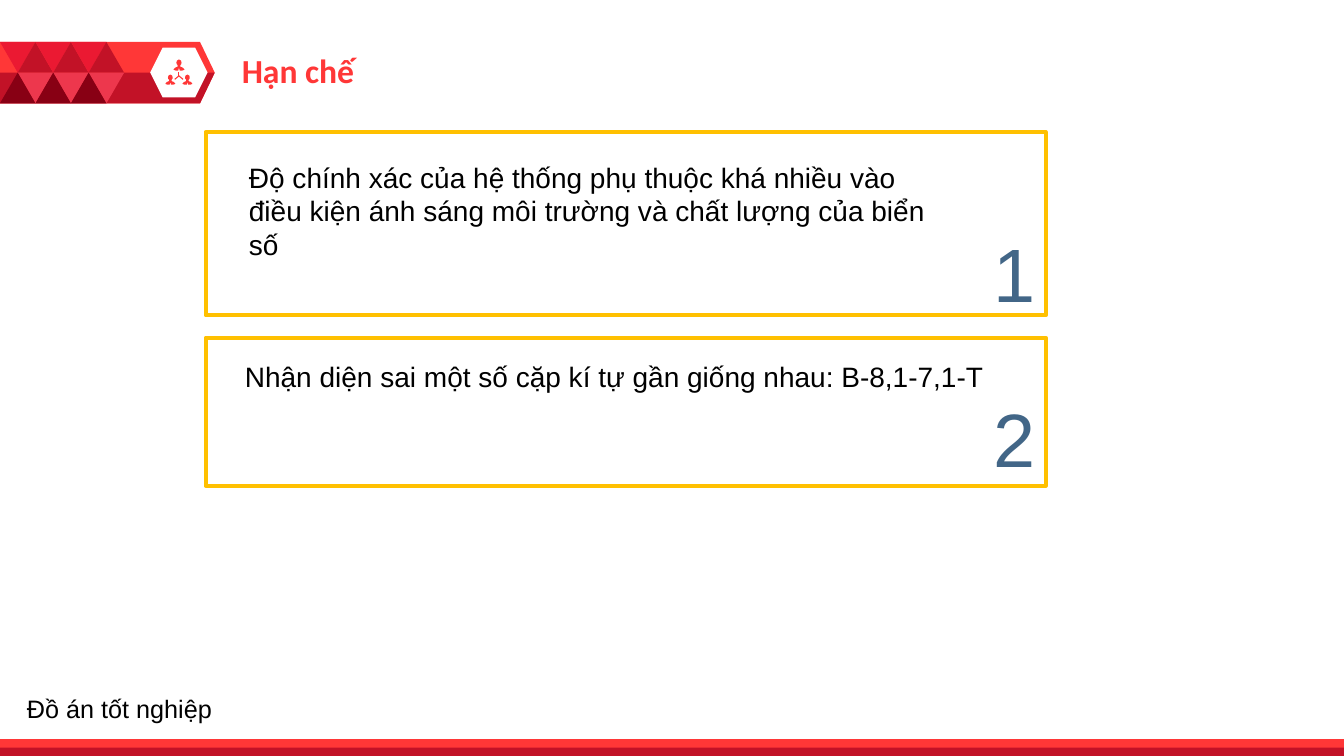
from dataclasses import dataclass
from typing import NamedTuple

from lxml import etree
from pptx import Presentation
from pptx.dml.color import RGBColor
from pptx.enum.shapes import MSO_CONNECTOR as Connector
from pptx.enum.shapes import MSO_SHAPE as Shape
from pptx.enum.text import PP_ALIGN as Align
from pptx.oxml.ns import qn
from pptx.util import Pt


@dataclass(frozen=True)
class Theme:
    red: str = "FF3737"
    dark_red: str = "C21227"
    crimson: str = "EB1932"
    rose: str = "ED374D"
    maroon: str = "880014"
    white: str = "FFFFFF"
    gold: str = "FFC000"
    blue: str = "426687"
    black: str = "000000"
    heading_font: str = "Calibri"
    body_font: str = "Arial"
    title_size: int = 24
    body_size: int = 20
    number_size: int = 54
    footer_size: int = 18
    frame_width: int = 3


class Box(NamedTuple):
    left: float
    top: float
    width: float
    height: float

    def inside(self, left, top, width, height):
        return Box(self.left + left, self.top + top, width, height)


THEME = Theme()
SLIDE = Box(0, 0, 960, 540)
PERSON_RIGHT_SIDE = [(0.5, 0), (0.68, 0.1), (0.73, 0.27), (0.72, 0.4), (0.62, 0.52),
                     (0.62, 0.65), (0.85, 0.74), (1, 0.92), (0.8, 1), (0.57, 1), (0.5, 0.74)]
LIMITS = [
    (Box(146.9, 94.3, 600, 131), (23.8, 16.6, 498.2, 79.9), 64.1,
     "Độ chính xác của hệ thống phụ thuộc khá nhiều vào "
     "điều kiện ánh sáng môi trường và chất lượng của biển số"),
    (Box(146.9, 241.2, 600, 105.8), (20.9, 12.2, 549.4, 31.7), 35.3,
     "Nhận diện sai một số cặp kí tự gần giống nhau: B-8,1-7,1-T"),
]


def rgb(color):
    return RGBColor.from_string(color)


def points(box):
    return [Pt(length) for length in box]


def paint(shape, color):
    shape.shadow.inherit = False
    shape.fill.solid()
    shape.fill.fore_color.rgb = rgb(color)
    shape.line.fill.background()


def add_filled(slide, kind, box, color):
    shape = slide.shapes.add_shape(kind, *points(box))
    paint(shape, color)
    return shape


def add_outline(slide, corners, color):
    """Fill the polygon whose corners are given in points."""
    start, *rest = [(Pt(x), Pt(y)) for x, y in corners]
    builder = slide.shapes.build_freeform(*start)
    builder.add_line_segments(rest, close=True)
    paint(builder.convert_to_shape(), color)


def add_text(slide, box, words, size, color, font=THEME.body_font, bold=False, align=Align.LEFT):
    frame = slide.shapes.add_textbox(*points(box)).text_frame
    frame.word_wrap = True
    frame.text = words
    paragraph = frame.paragraphs[0]
    paragraph.alignment = align
    style = paragraph.runs[0].font
    style.name, style.size, style.bold = font, Pt(size), bold
    style.color.rgb = rgb(color)


def add_person(slide, box):
    left_side = [(1 - x, y) for x, y in reversed(PERSON_RIGHT_SIDE[1:-1])]
    add_outline(slide, [(box.left + x * box.width, box.top + y * box.height)
                        for x, y in PERSON_RIGHT_SIDE + left_side], THEME.red)


def add_team_icon(slide, box):
    """Three people joined by spokes from a hub."""
    add_person(slide, box.inside(5.8, 0, 7.9, 7.9))
    for left in (0, 12.2):
        add_person(slide, box.inside(left, 10.8, 7.2, 7.2))
    hub_x, hub_y = box.left + box.width / 2, box.top + 11.7
    for dx, dy in ((0, -2.9), (-3, 2.5), (3, 2.5)):
        spoke = slide.shapes.add_connector(
            Connector.STRAIGHT, Pt(hub_x), Pt(hub_y), Pt(hub_x + dx), Pt(hub_y + dy))
        spoke.line.color.rgb = rgb(THEME.red)
        spoke.line.width = Pt(0.75)
        etree.SubElement(spoke.element.spPr, qn("a:effectLst"))


def add_triangles(slide, box, columns=3):
    width, height = box.width / columns, box.height / 2
    tiles = [(0, 0, 180, THEME.crimson), (0.5, 0, 0, THEME.dark_red),
             (0.5, 1, 180, THEME.rose), (0, 1, 0, THEME.maroon)]
    for column in range(columns):
        for shift, row, rotation, color in tiles:
            tile = box.inside((column + shift) * width, row * height, width, height)
            add_filled(slide, Shape.ISOSCELES_TRIANGLE, tile, color).rotation = rotation


def add_banner(slide, box):
    arrow = add_filled(slide, Shape.PENTAGON, box, THEME.red)
    arrow.adjustments[0] = 0.24
    right, bottom, middle = box.left + box.width, box.top + box.height, box.top + box.height / 2
    add_outline(slide, [(box.left, middle), (right, middle), (right - 10.5, bottom),
                        (box.left, bottom)], THEME.dark_red)
    badge = add_filled(slide, Shape.HEXAGON, box.inside(107.3, 4, 41, 35.6), THEME.white)
    badge.adjustments[0] = 0.25
    add_team_icon(slide, box.inside(118.1, 12.5, 19.4, 18))
    add_triangles(slide, box.inside(0, 0, 76, box.height))


def add_header(slide, box):
    add_banner(slide, box.inside(0, 0, 153.4, box.height))
    add_text(slide, box.inside(165.6, 2.2, 303.8, 36), "Hạn chế", THEME.title_size,
             THEME.red, THEME.heading_font, bold=True)


def add_limit(slide, box, words_at, number_top, number, words):
    frame = slide.shapes.add_shape(Shape.RECTANGLE, *points(box))
    frame.shadow.inherit = False
    frame.fill.background()
    frame.line.color.rgb = rgb(THEME.gold)
    frame.line.width = Pt(THEME.frame_width)
    add_text(slide, box.inside(*words_at), words, THEME.body_size, THEME.black)
    add_text(slide, box.inside(box.width - 118.1, number_top, 118.1, 72.7), str(number),
             THEME.number_size, THEME.blue, align=Align.RIGHT)


def add_footer(slide, box):
    stripe = box.height / 2
    add_filled(slide, Shape.RECTANGLE, box, THEME.red)
    add_filled(slide, Shape.RECTANGLE, box.inside(0, stripe, box.width, stripe), THEME.dark_red)
    add_text(slide, box.inside(12.2, -36.2, 203.8, 28.8), "Đồ án tốt nghiệp",
             THEME.footer_size, THEME.black)


def main():
    deck = Presentation()
    deck.slide_width, deck.slide_height = Pt(SLIDE.width), Pt(SLIDE.height)
    slide = deck.slides.add_slide(deck.slide_layouts[6])
    add_header(slide, SLIDE.inside(0, 30, SLIDE.width, 43.8))
    for number, (box, words_at, number_top, words) in enumerate(LIMITS, start=1):
        add_limit(slide, box, words_at, number_top, number, words)
    add_footer(slide, SLIDE.inside(0, 528, SLIDE.width, 12))
    deck.save("out.pptx")


if __name__ == "__main__":
    main()
